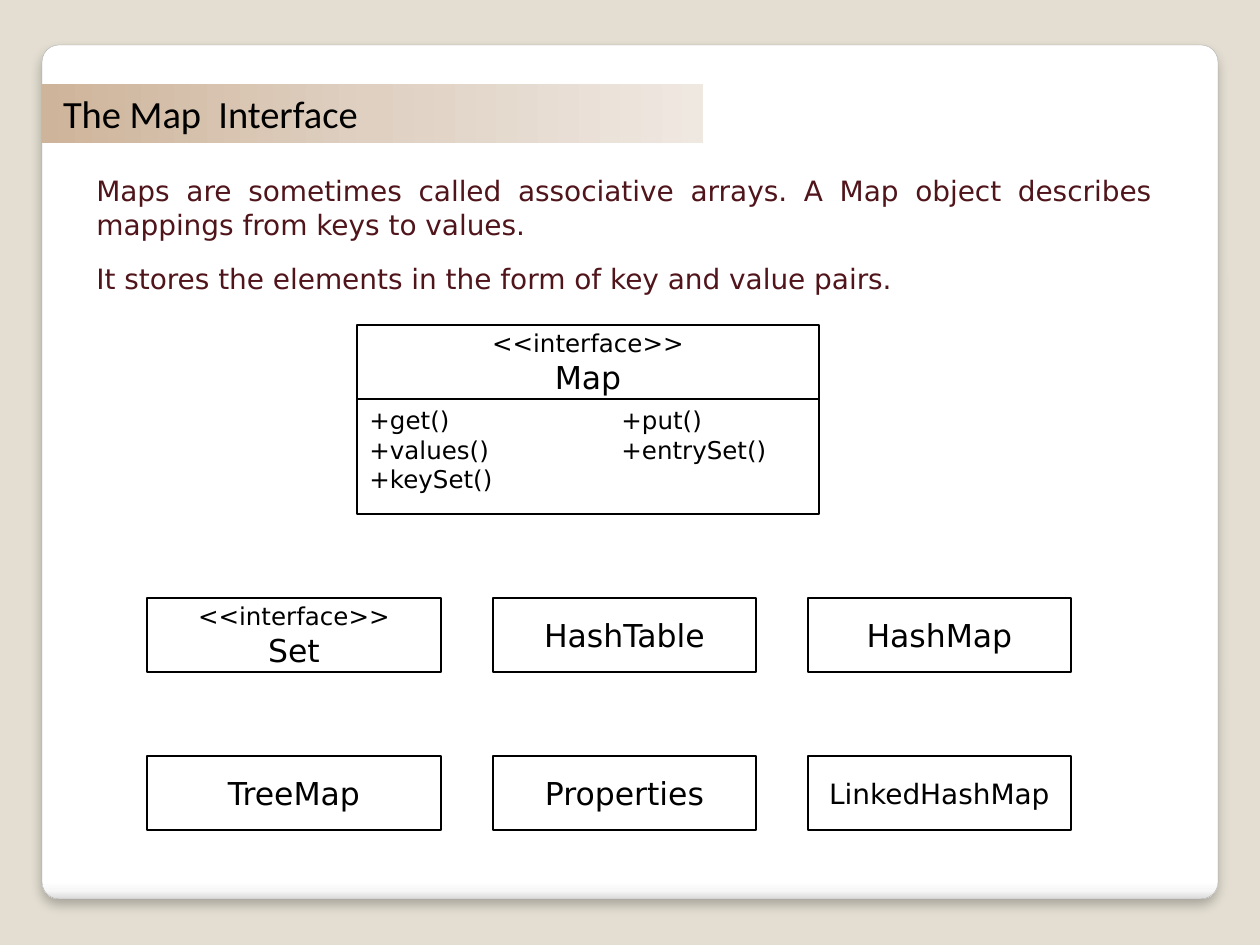
from lxml import etree
from pptx import Presentation
from pptx.dml.color import RGBColor
from pptx.enum.shapes import MSO_SHAPE
from pptx.enum.text import MSO_ANCHOR, PP_ALIGN
from pptx.oxml.ns import qn
from pptx.util import Pt

RECT, ROUND_RECT = MSO_SHAPE.RECTANGLE, MSO_SHAPE.ROUNDED_RECTANGLE
TOP, MIDDLE = MSO_ANCHOR.TOP, MSO_ANCHOR.MIDDLE
LEFT, CENTER, JUSTIFY = PP_ALIGN.LEFT, PP_ALIGN.CENTER, PP_ALIGN.JUSTIFY

BACKGROUND = RGBColor(0xE3, 0xDE, 0xD1)
PANEL_LINE = RGBColor(0xA4, 0xA4, 0xA4)
BLACK = RGBColor(0, 0, 0)
MAROON = RGBColor(0x50, 0x14, 0x1B)
WHITE = RGBColor(0xFF, 0xFF, 0xFF)
PANEL_STOPS = [(0, WHITE), (98, WHITE), (99, RGBColor(0xF7, 0xF7, 0xF7)),
               (100, RGBColor(0xDA, 0xDA, 0xDA))]
TITLE_STOPS = [(0, RGBColor(0xCE, 0xB4, 0x9A)), (50, RGBColor(0xDF, 0xD0, 0xC2)),
               (100, RGBColor(0xEF, 0xE8, 0xE1))]
BODY_FONT, TITLE_FONT = "DejaVu Sans", "Calibri"
EMU_PER_PX = 914400 / 126


def px(n):
    return round(n * EMU_PER_PX)


def apply(obj, **values):
    for name, value in values.items():
        setattr(obj, name, value)


def place(shape, box):
    apply(shape, **dict(zip(("left", "top", "width", "height"), map(px, box))))


def set_gradient(shape, stops, angle):
    shape.fill.gradient()
    shape.fill.gradient_angle = angle
    gs_lst = shape._element.spPr.find(".//" + qn("a:gsLst"))
    for gs in list(gs_lst):
        gs_lst.remove(gs)
    for percent, color in stops:
        gs = etree.SubElement(gs_lst, qn("a:gs"), pos=str(percent * 1000))
        etree.SubElement(gs, qn("a:srgbClr"), val=str(color))


def write(tf, lines, align, color=BLACK, font=BODY_FONT, tab=None, **spacing):
    """Fill a text frame from (text, point size) pairs."""
    tf.word_wrap = True
    for i, (text, size) in enumerate(lines):
        p = tf.paragraphs[0] if i == 0 else tf.add_paragraph()
        apply(p, alignment=align, **spacing)
        if i == 0:
            p.space_before = Pt(0)
        if tab:
            tab_lst = etree.SubElement(p._p.get_or_add_pPr(), qn("a:tabLst"))
            etree.SubElement(tab_lst, qn("a:tab"), pos=str(px(tab)), algn="l")
        r = p.add_run()
        r.text = text
        apply(r.font, name=font, size=Pt(size))
        r.font.color.rgb = color


def add_panel(s, box):
    panel = s.shapes.add_shape(ROUND_RECT, *map(px, box))
    panel.adjustments[0] = 0.02
    set_gradient(panel, PANEL_STOPS, 270)
    panel.line.color.rgb = PANEL_LINE
    panel.line.width = Pt(0.16)
    panel.shadow.inherit = False
    effects = panel._element.spPr.find(qn("a:effectLst"))
    shadow = etree.SubElement(effects, qn("a:outerShdw"), blurRad=str(Pt(6)),
                              dist=str(Pt(4)), dir="5400000", rotWithShape="0")
    color = etree.SubElement(shadow, qn("a:srgbClr"), val=str(BLACK))
    etree.SubElement(color, qn("a:alpha"), val="25000")
    s.shapes._spTree.insert(2, panel._element)  # behind the title


def add_title(s, box, text):
    title = s.shapes.title
    place(title, box)
    set_gradient(title, TITLE_STOPS, 0)
    apply(title.text_frame, vertical_anchor=MIDDLE, margin_left=px(21))
    write(title.text_frame, [(text, 22)], LEFT, font=TITLE_FONT)


def add_intro(s, box, paragraphs):
    tf = s.shapes.add_textbox(*map(px, box)).text_frame
    write(tf, [(text, 16) for text in paragraphs], JUSTIFY, MAROON,
          space_before=Pt(6), space_after=Pt(6))
    tf.margin_top = Pt(9.6)


def add_box(s, box, lines, align=CENTER, anchor=MIDDLE, tab=None):
    sp = s.shapes.add_shape(RECT, *map(px, box))
    sp.shadow.inherit = False
    sp.fill.background()
    sp.line.color.rgb = BLACK
    sp.line.width = Pt(1)
    sp.text_frame.vertical_anchor = anchor
    write(sp.text_frame, lines, align, tab=tab)


def add_map_interface(s, box):
    x, y, w, h = box
    head_h = 74
    methods = ["+get()\t+put()", "+values()\t+entrySet()", "+keySet()"]
    add_box(s, (x, y + head_h, w, h - head_h), [(m, 14) for m in methods],
            LEFT, TOP, tab=252)
    add_box(s, (x, y, w, head_h), [("<<interface>>", 14), ("Map", 18)])


def add_class_grid(s, box):
    x, y, w, h = box
    gap, box_h = 52, 74
    first_w = 294
    other_w = (w - first_w - 2 * gap) // 2
    rows = [
        [[("<<interface>>", 14), ("Set", 18)], [("HashTable", 18)], [("HashMap", 18)]],
        [[("TreeMap", 18)], [("Properties", 18)], [("LinkedHashMap", 16)]],
    ]
    for i, row in enumerate(rows):
        left = x
        for lines, width in zip(row, (first_w, other_w, other_w)):
            add_box(s, (left, y + i * (h - box_h), width, box_h), lines)
            left += width + gap


def main():
    prs = Presentation()
    apply(prs, slide_width=px(1260), slide_height=px(945))
    s = prs.slides.add_slide(prs.slide_layouts[5])
    s.background.fill.solid()
    s.background.fill.fore_color.rgb = BACKGROUND
    add_panel(s, (42, 45, 1176, 854))
    add_title(s, (42, 84, 661, 59), "The Map  Interface")
    add_intro(s, (84, 157, 1081, 136), [
        "Maps are sometimes called associative arrays. "
        "A Map object describes mappings from keys to values.",
        "It stores the elements in the form of key and value pairs.",
    ])
    add_map_interface(s, (357, 325, 462, 189))
    add_class_grid(s, (147, 598, 924, 232))
    prs.save("out.pptx")


if __name__ == "__main__":
    main()
